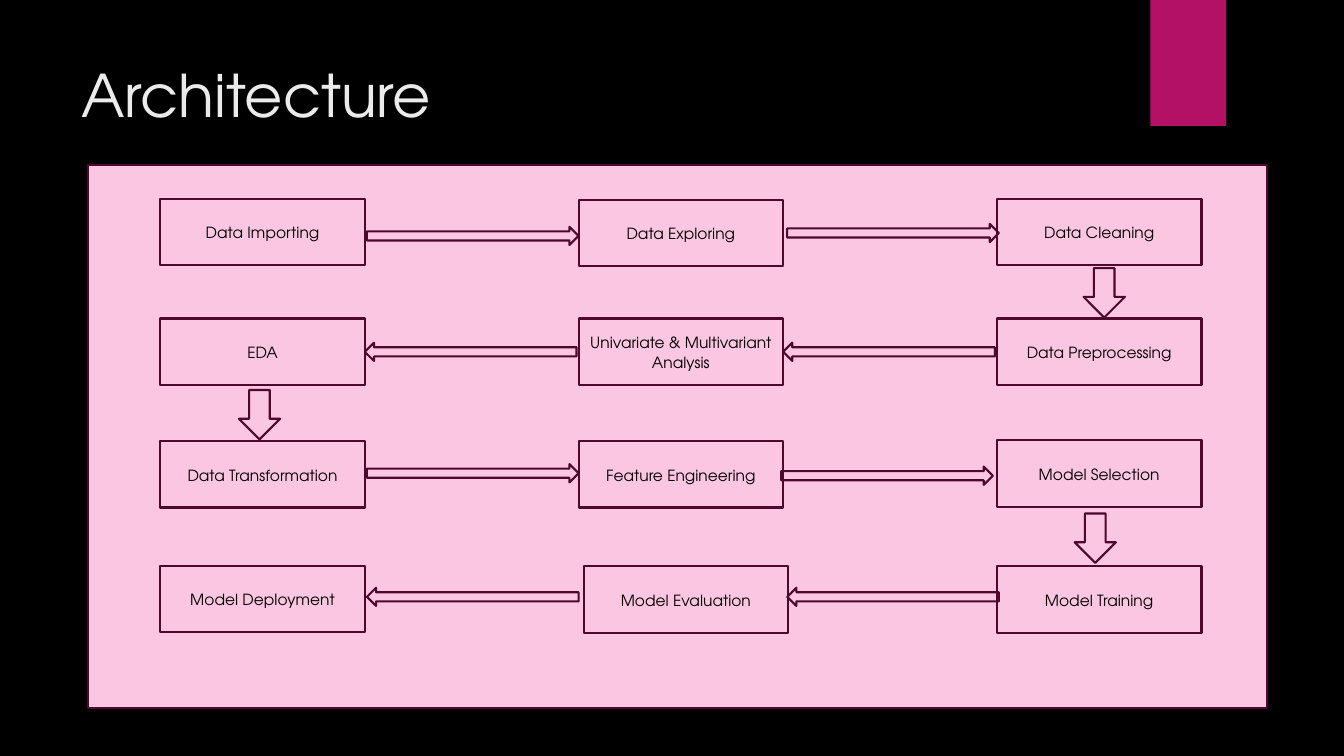
from pptx import Presentation
from pptx.dml.color import RGBColor
from pptx.enum import shapes, text
from pptx.util import Pt

BLACK = RGBColor(0x00, 0x00, 0x00)
WHITE = RGBColor(0xEB, 0xEB, 0xEB)
MAGENTA = RGBColor(0xB3, 0x11, 0x66)
PINK = RGBColor(0xFA, 0xC6, 0xE1)
PLUM = RGBColor(0x4E, 0x07, 0x2D)
FONT = "TeX Gyre Adventor"
KIND = shapes.MSO_SHAPE

COLUMNS = (114.5, 413.3, 712.1)
STEP_W, STEP_H = 146.2, 47.5
STEPS = (
    (142, ("Data Importing", "Data Exploring", "Data Cleaning")),
    (227.5, ("EDA", "Univariate & Multivariant Analysis", "Data Preprocessing")),
    (315, ("Data Transformation", "Feature Engineering", "Model Selection")),
    (404.6, ("Model Deployment", "Model Evaluation", "Model Training")),
)
NUDGES = {
    "Data Exploring": (0, 0.6),
    "Model Selection": (0, -0.6),
    "Model Evaluation": (3.6, 0),
    "Model Deployment": (0, -0.4),
}
ACROSS = (
    (262.1, 162, 0), (562.3, 159.9, 0),
    (260.6, 244.8, 180), (559.4, 244.8, 180),
    (262.1, 331.5, 0), (558, 333.3, 0),
    (262.1, 419.8, 180), (562.3, 419.8, 180),
)
DOWN = ((774, 191.5), (170.6, 278.6), (767.6, 366.8))


def add_box(s, kind, x, y, w, h, fill=None, line=PLUM, rotation=0):
    """Draw a preset shape with an optional fill and outline."""
    sp = s.shapes.add_shape(kind, Pt(x), Pt(y), Pt(w), Pt(h))
    sp.shadow.inherit = False
    sp.rotation = rotation
    if fill is None:
        sp.fill.background()
    else:
        sp.fill.solid()
        sp.fill.fore_color.rgb = fill
    if line is None:
        sp.line.fill.background()
    else:
        sp.line.color.rgb = line
        sp.line.width = Pt(1.5)
    return sp


def set_text(sp, words, size=11, color=BLACK, align=text.PP_ALIGN.CENTER,
             spacing=1.07, after=8):
    """Write one paragraph, centred vertically in the shape."""
    tf = sp.text_frame
    tf.word_wrap = True
    tf.vertical_anchor = text.MSO_ANCHOR.MIDDLE
    p = tf.paragraphs[0]
    p.alignment = align
    p.line_spacing = spacing
    p.space_after = Pt(after)
    r = p.add_run()
    r.text = words
    r.font.name = FONT
    r.font.size = Pt(size)
    r.font.color.rgb = color


def add_title(s, words):
    """Add the slide heading."""
    sp = s.shapes.add_textbox(Pt(51), Pt(36), Pt(741), Pt(62.6))
    set_text(sp, words, size=42, color=WHITE, align=text.PP_ALIGN.LEFT,
             spacing=1.0, after=0)


def add_steps(s):
    """Lay out the pipeline steps on their grid."""
    for y, names in STEPS:
        for x, name in zip(COLUMNS, names):
            dx, dy = NUDGES.get(name, (0, 0))
            sp = add_box(s, KIND.RECTANGLE, x + dx, y + dy, STEP_W, STEP_H)
            set_text(sp, name)


def add_arrows(s):
    """Draw the block arrows between the steps."""
    for x, y, rotation in ACROSS:
        add_box(s, KIND.RIGHT_ARROW, x, y, 151.2, 13, rotation=rotation)
    for x, y in DOWN:
        add_box(s, KIND.DOWN_ARROW, x, y, 29.5, 35.3)


def main():
    """Build the architecture slide and save it."""
    prs = Presentation()
    prs.slide_width, prs.slide_height = Pt(960), Pt(540)
    s = prs.slides.add_slide(prs.slide_layouts[6])
    s.background.fill.solid()
    s.background.fill.fore_color.rgb = BLACK
    add_box(s, KIND.RECTANGLE, 821.8, 0, 54, 90, fill=MAGENTA, line=None)
    add_title(s, "Architecture")
    add_box(s, KIND.RECTANGLE, 62.8, 118.2, 842.2, 387.6, fill=PINK)
    add_steps(s)
    add_arrows(s)
    prs.save("out.pptx")


if __name__ == "__main__":
    main()
